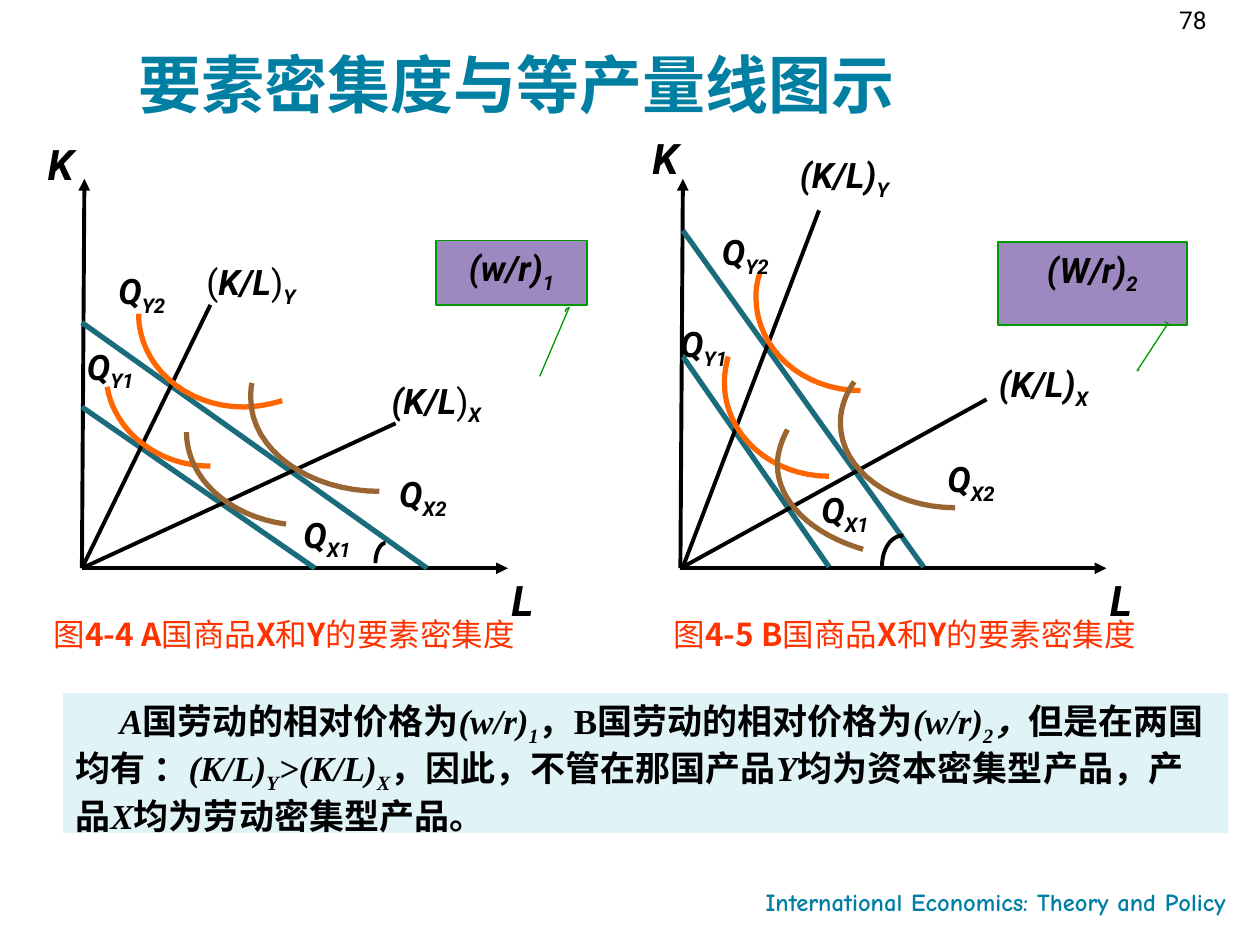
from lxml import etree
from pptx import Presentation
from pptx.dml.color import RGBColor
from pptx.enum.shapes import MSO_CONNECTOR, MSO_SHAPE
from pptx.enum.text import MSO_ANCHOR, PP_ALIGN
from pptx.oxml.ns import qn
from pptx.util import Pt

PX = 9144  # EMU per px, 100 px to the inch
STRAIGHT = MSO_CONNECTOR.STRAIGHT
RECT, CALLOUT = MSO_SHAPE.RECTANGLE, MSO_SHAPE.LINE_CALLOUT_3
TOP, BOTTOM = MSO_ANCHOR.TOP, MSO_ANCHOR.BOTTOM
LEFT, CENTER, RIGHT = PP_ALIGN.LEFT, PP_ALIGN.CENTER, PP_ALIGN.RIGHT
CURVE_STEPS = 16

THEME = {
    "teal": "007FA3", "ink": "000000", "caption": "FF3300",
    "isocost": "1A6C7C", "Y": "FF6600", "X": "996633",
    "callout": "3C1581", "callout_line": "009900", "note": "C3EBF3",
    "sans": "Roboto", "serif": "Times New Roman",
    "cjk": "Noto Sans CJK SC", "script": "Comic Neue",
    "title_size": 36, "axis_size": 24, "label_size": 20,
    "caption_size": 18, "small_size": 14,
    "thick": 3, "medium": 2.25, "thin": 0.75,
}

# Content: runs are (text, style); b = bold, i = italic, s = subscript
TITLE = "要素密集度与等产量线图示"
FOOTER = "International Economics: Theory and Policy"
PAGE_NUMBER = "78"
NOTE = [
    ("A", "bi"), ("国劳动的相对价格为", "b"), ("(w/r)", "bi"), ("1", "bis"),
    ("，B国劳动的相对价格为", "b"), ("(w/r)", "bi"), ("2", "bis"), ("，", "bi"),
    ("但是在两国均有 ：", "b"), ("(K/L)", "bi"), ("Y", "bis"),
    (">(K/L)", "bi"), ("X", "bis"), ("，因此，不管在那国产品", "b"),
    ("Y", "bi"), ("均为资本密集型产品，产品", "b"), ("X", "bi"),
    ("均为劳动密集型产品。", "b"),
]

# Curves are a start point followed by three points for each Bezier piece
PANELS = [
    {
        "origin": (65, 451), "k_label": (28, 105),
        "isocosts": [(65, 323, 250, 451), (65, 256, 339, 451)],
        "rays": [(65, 451, 167, 242), (65, 451, 314, 336)],
        "isoquants": [
            ("Y", [(224, 318), (214, 321), (203, 323), (193, 323),
                   (147, 323), (110, 290), (110, 249)]),
            ("Y", [(167, 370), (126, 370), (91, 343), (85, 307)]),
            ("X", [(227, 416), (181, 410), (148, 379), (148, 343)]),
            ("X", [(301, 390), (245, 390), (199, 357), (199, 316),
                   (199, 312), (199, 308), (200, 304)]),
        ],
        "angle": [(306, 431), (302, 431), (298, 438), (298, 447)],
        "quantities": [("Y2", 84, 209), ("Y1", 59, 269),
                       ("X2", 307, 370), ("X1", 231, 403)],
        "ratios": [
            (154, 202, [("(", ""), ("K/L", "bi"), (")", ""), ("Y", "bis")]),
            (301, 296, [("(K/L", "bi"), (")", ""), ("X", "bis")]),
        ],
        "price": [("(w/r)", "bi"), ("1", "bis")],
        "price_box": (346, 191, 120, 51),
        "price_leader": (1.108, 0.854, 1.064, 0.863, 1.038, 0.882, 2.113, 0.687),
        "caption_left": 33, "figure": "4-4 A",
    },
    {
        "origin": (540, 451), "k_label": (508, 100),
        "isocosts": [(542, 283, 658, 450), (542, 183, 733, 450)],
        "rays": [(542, 450, 650, 167), (542, 450, 783, 317)],
        "isoquants": [
            ("Y", [(658, 378), (612, 378), (575, 345), (575, 304),
                   (575, 297), (576, 290), (578, 283)]),
            ("Y", [(683, 310), (637, 310), (600, 277), (600, 236),
                   (600, 229), (601, 223), (603, 217)]),
            ("X", [(685, 436), (644, 424), (617, 398), (617, 369),
                   (617, 360), (620, 350), (625, 341)]),
            ("X", [(758, 403), (708, 403), (667, 373), (667, 336),
                   (667, 324), (671, 313), (678, 303)]),
        ],
        "angle": [(717, 425), (707, 425), (700, 436), (700, 450)],
        "quantities": [("Y2", 563, 178), ("Y1", 530, 251),
                       ("X2", 742, 358), ("X1", 642, 383)],
        "ratios": [(625, 117, [("(K/L)", "bi"), ("Y", "bis")]),
                   (783, 283, [("(K/L)", "bi"), ("X", "bis")])],
        "price": [("(W/r)", "bi"), ("2", "bis")],
        "price_box": (792, 192, 150, 66),
        "price_leader": (0.964, 0.885, 0.981, 0.9, 1.551, 0.737, 1.533, 0.748),
        "caption_left": 525, "figure": "4-5 B",
    },
]


def emu(*lengths):
    return [round(length * PX) for length in lengths]


def color(name):
    return RGBColor.from_string(THEME[name])


def write(shape, runs, font, size, ink="ink", align=LEFT, anchor=TOP):
    frame = shape.text_frame
    frame.word_wrap = True
    frame.vertical_anchor = anchor
    paragraph = frame.paragraphs[0]
    paragraph.alignment = align
    paragraph.font.name = THEME[font]
    paragraph.font.size = Pt(THEME[size])
    paragraph.font.color.rgb = color(ink)
    for text, style in runs:
        run = paragraph.add_run()
        run.text = text
        run.font.name = THEME[font]
        run.font.size = Pt(THEME[size])
        run.font.color.rgb = color(ink)
        run.font.bold = "b" in style
        run.font.italic = "i" in style
        if "s" in style:
            run._r.get_or_add_rPr().set("baseline", "-25000")
    return paragraph


def add_text(shapes, box, runs, font, size, **look):
    write(shapes.add_textbox(*emu(*box)), runs, font, size, **look)


def stroke(shape, ink, width):
    shape.line.color.rgb = color(ink)
    shape.line.width = Pt(THEME[width])


def add_line(shapes, ends, ink, width, arrow=False):
    line = shapes.add_connector(STRAIGHT, *emu(*ends))
    stroke(line, ink, width)
    if arrow:
        etree.SubElement(line.line._get_or_add_ln(), qn("a:tailEnd"), type="triangle")
    etree.SubElement(line._element.spPr, qn("a:effectLst"))


def bezier(p0, p1, p2, p3):
    for step in range(1, CURVE_STEPS + 1):
        t = step / CURVE_STEPS
        u = 1 - t
        yield emu(*(u**3 * a + 3 * u * u * t * b + 3 * u * t * t * c + t**3 * d
                    for a, b, c, d in zip(p0, p1, p2, p3)))


def add_curve(shapes, points, ink, width):
    builder = shapes.build_freeform(*emu(*points[0]))
    for i in range(0, len(points) - 1, 3):
        builder.add_line_segments(bezier(*points[i:i + 4]), close=False)
    curve = builder.convert_to_shape()
    curve.shadow.inherit = False
    curve.fill.background()
    stroke(curve, ink, width)


def add_tinted(shapes, preset, box, fill):
    shape = shapes.add_shape(preset, *emu(*box))
    shape.shadow.inherit = False
    shape.fill.solid()
    shape.fill.fore_color.rgb = color(fill)
    tint = shape._element.spPr.find(".//" + qn("a:srgbClr"))
    etree.SubElement(tint, qn("a:alpha"), val="50000")
    return shape


def add_panel(shapes, panel):
    # Axes, isocost lines and factor-ratio rays
    x, y = panel["origin"]
    for end in ((x + 2, 142), (x + 338, y)):
        add_line(shapes, (x, y, *end), "ink", "medium", arrow=True)
    for ends in panel["isocosts"]:
        add_line(shapes, ends, "isocost", "thick")
    for ends in panel["rays"]:
        add_line(shapes, ends, "ink", "medium")

    # Isoquants and the angle mark
    for good, points in panel["isoquants"]:
        add_curve(shapes, points, good, "thick")
    add_curve(shapes, panel["angle"], "ink", "medium")

    # Labels
    for good, left, top in panel["quantities"]:
        add_text(shapes, (left, top, 95, 44), [("Q", "bi"), (good, "bis")], "sans", "label_size")
    for left, top, runs in panel["ratios"]:
        add_text(shapes, (left, top, 120, 44), runs, "sans", "label_size")
    for axis, spot in (("K", panel["k_label"]), ("L", (x + 331, y))):
        add_text(shapes, (*spot, 60, 50), [(axis, "bi")], "sans", "axis_size")

    # Relative price callout
    callout = add_tinted(shapes, CALLOUT, panel["price_box"], "callout")
    for i, value in enumerate(panel["price_leader"]):
        callout.adjustments[i] = value
    stroke(callout, "callout_line", "thin")
    write(callout, panel["price"], "sans", "label_size", align=CENTER)

    # Caption
    caption = [("图", ""), (panel["figure"], "b"), ("国商品", ""), ("X", "b"),
               ("和", ""), ("Y", "b"), ("的要素密集度", "")]
    add_text(shapes, (panel["caption_left"], 483, 450, 40), caption, "cjk", "caption_size", ink="caption")


def main():
    deck = Presentation()
    deck.slide_width, deck.slide_height = emu(1000, 750)
    slide = deck.slides.add_slide(deck.slide_layouts[5])
    shapes = slide.shapes

    # Title, footer and page number
    title = shapes.title
    title.left, title.top, title.width, title.height = emu(110, 24, 840, 72)
    frame = title.text_frame
    frame.margin_left = frame.margin_top = frame.margin_right = frame.margin_bottom = 0
    write(title, [(TITLE, "b")], "serif", "title_size", ink="teal", anchor=BOTTOM)
    add_text(shapes, (421, 699, 562, 38), [(FOOTER, "b")], "script", "small_size", ink="teal", align=RIGHT)
    add_text(shapes, (926, 12, 60, 20), [(PAGE_NUMBER, "")], "sans", "small_size", anchor=BOTTOM)

    for panel in PANELS:
        add_panel(shapes, panel)

    # Conclusion
    note = add_tinted(shapes, RECT, (50, 550, 925, 111), "note")
    note.line.fill.background()
    paragraph = write(note, NOTE, "serif", "label_size")
    paragraph._p.get_or_add_pPr().set("indent", str(35 * PX))

    deck.save("out.pptx")


if __name__ == "__main__":
    main()
